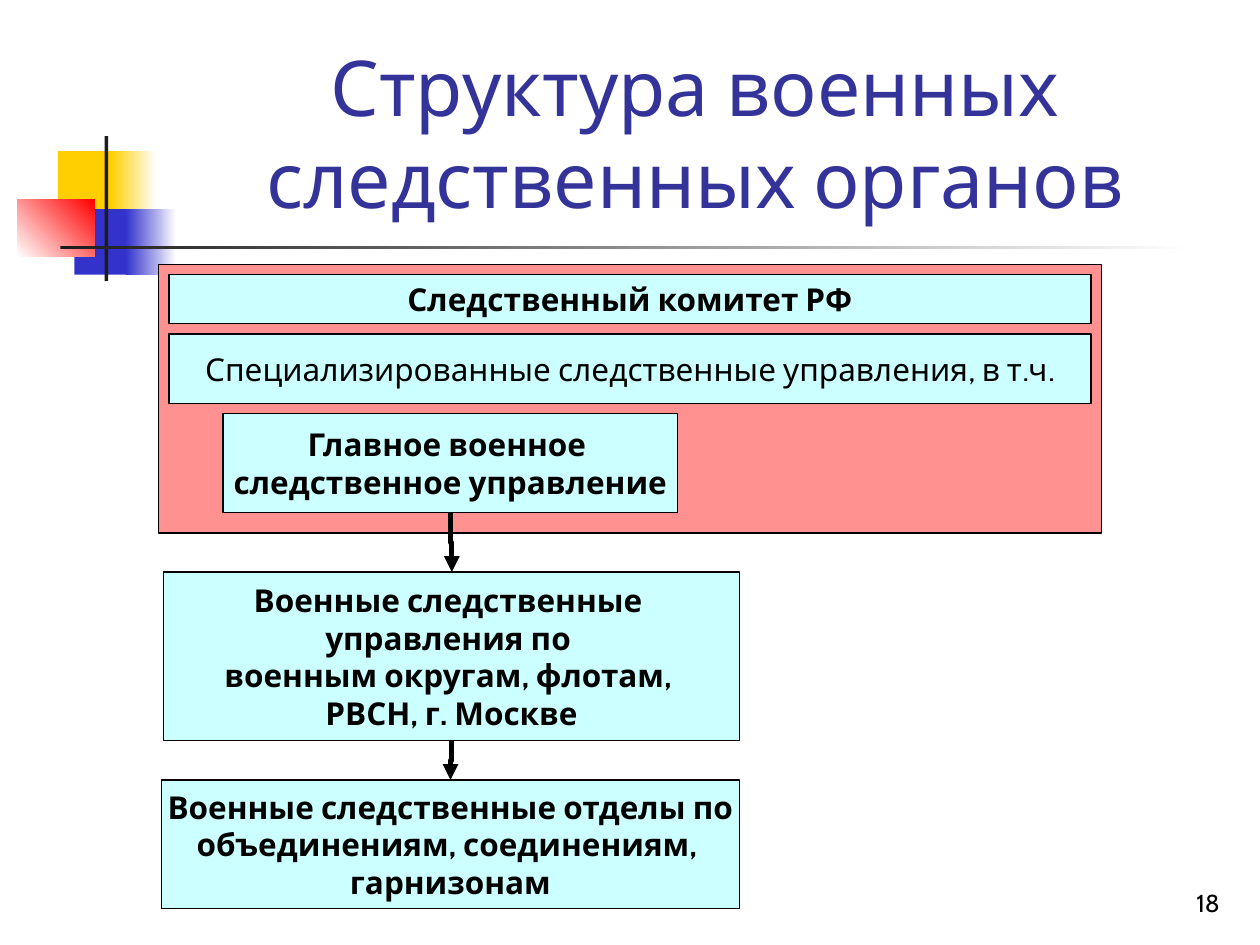
import pptx
import pptx.util
import pptx.dml.color
import pptx.enum.shapes
import pptx.enum.text
import pptx.oxml

PT = pptx.util.Pt
KIND = pptx.enum.shapes.MSO_SHAPE
ANCHOR = pptx.enum.text.MSO_ANCHOR
ALIGN = pptx.enum.text.PP_ALIGN
NS = 'xmlns:a="http://schemas.openxmlformats.org/drawingml/2006/main"'
FONT = "Cabin"
INK = "000000"
ICE = "CCFFFF"

deck = pptx.Presentation()
deck.slide_width = pptx.util.Inches(10)
deck.slide_height = pptx.util.Inches(7.5)
CELL = deck.slide_width / 100


def grid(*cells):
    return [round(c * CELL) for c in cells]


def color(code):
    return pptx.dml.color.RGBColor.from_string(code)


def style(frame, size, code, align, bold=False):
    for para in frame.paragraphs:
        para.alignment = align
        for run in para.runs:
            run.font.name = FONT
            run.font.size = PT(size)
            run.font.bold = bold
            run.font.color.rgb = color(code)


def block(shapes, x, y, w, h, fill):
    shape = shapes.add_shape(KIND.RECTANGLE, *grid(x, y, w, h))
    shape.shadow.inherit = False
    shape.fill.solid()
    shape.fill.fore_color.rgb = color(fill)
    shape.line.fill.background()
    return shape


def fade(shapes, x, y, w, h, start, end, angle=0):
    fill = block(shapes, x, y, w, h, start).fill
    fill.gradient()
    fill.gradient_angle = angle
    for stop, code in zip(fill.gradient_stops, (start, end)):
        stop.color.rgb = color(code)


def card(shapes, x, y, w, h, fill, text="", bold=True):
    shape = block(shapes, x, y, w, h, fill)
    shape.line.color.rgb = color(INK)
    shape.line.width = PT(0.75)
    if text:
        frame = shape.text_frame
        frame.text = text
        frame.word_wrap = False
        frame.vertical_anchor = ANCHOR.MIDDLE
        style(frame, 18, INK, ALIGN.CENTER, bold)
    return shape


def emblem(shapes, x, y):
    block(shapes, x + 3.2, y + 1.2, 4.8, 5.2, "FFCF01")
    fade(shapes, x + 7.4, y + 1.2, 3.6, 5.2, "FFCF01", "FFFFFF")
    block(shapes, x + 4.5, y + 5.8, 4.6, 5.2, "3333CC")
    fade(shapes, x + 8.6, y + 5.8, 4, 5.2, "3333CC", "FFFFFF")
    fade(shapes, x, y + 5, 6.1, 4.6, "FFFFFF", "FF0000", 45)
    block(shapes, x + 6.9, y, 0.3, 11.5, "1C1C1C")
    fade(shapes, x + 3.4, y + 8.7, 90, 0.3, "1C1C1C", "FFFFFF")


def title(shape, x, y, w, h):
    shape.left, shape.top, shape.width, shape.height = grid(x, y, w, h)
    frame = shape.text_frame
    frame.text = "Структура военных следственных органов"
    frame.word_wrap = True
    frame.auto_size = pptx.enum.text.MSO_AUTO_SIZE.NONE
    frame.vertical_anchor = ANCHOR.BOTTOM
    style(frame, 44, "333399", ALIGN.CENTER)


def number(shapes, x, y, w, h):
    frame = shapes.add_textbox(*grid(x, y, w, h)).text_frame
    frame.text = "18"
    frame.word_wrap = True
    frame.vertical_anchor = ANCHOR.BOTTOM
    style(frame, 14, INK, ALIGN.RIGHT)


def center(shapes, x, y, w, h):
    group = shapes.add_group_shape().shapes
    card(group, x, y, w, h, "FF9191")
    pad = 0.8
    wide = w - 2 * pad
    card(group, x + pad, y + pad, wide, 3.9, ICE, "Следственный комитет РФ")
    card(group, x + pad, y + 5.5, wide, 5.5, ICE,
         "Специализированные следственные управления, в т.ч.", False)
    return card(group, x + 5.1, y + 11.8, 36.1, 7.9, ICE,
                "Главное военное \nследственное управление")


def arrow(shapes, upper, lower):
    x1 = upper.left + upper.width // 2
    x2 = lower.left + lower.width // 2
    y1, y2 = upper.top + upper.height, lower.top
    line = shapes.add_connector(
        pptx.enum.shapes.MSO_CONNECTOR.ELBOW, x1, y1, x2, y2)
    line.begin_connect(upper, 2)
    line.end_connect(lower, 0)
    span, jog = y2 - y1, abs(x2 - x1)
    line.width, line.height = span, jog
    line.left = (x1 + x2 - span) // 2
    line.top = (y1 + y2 - jog) // 2
    prop = line._element.spPr
    frame = prop.xfrm
    frame.set("rot", "16200000" if x2 > x1 else "5400000")
    frame.set("flipH", "1" if x2 > x1 else "0")
    frame.set("flipV", "0")
    line.line.color.rgb = color(INK)
    line.line.width = PT(3)
    stroke = line.line._get_or_add_ln()
    stroke.append(pptx.oxml.parse_xml(f'<a:tailEnd {NS} type="triangle"/>'))
    prop.append(pptx.oxml.parse_xml(f"<a:effectLst {NS}/>"))


def chain(shapes, head, x, y, w):
    area = card(shapes, x + 0.2, y, w - 0.2, 13.4, ICE,
                "Военные следственные \nуправления по \n"
                "военным округам, флотам, \nРВСН, г. Москве")
    unit = card(shapes, x, y + 16.5, w, 10.2, ICE,
                "Военные следственные отделы по\n"
                "объединениям, соединениям, \nгарнизонам")
    arrow(shapes, head, area)
    arrow(shapes, area, unit)


def main():
    slide = deck.slides.add_slide(deck.slide_layouts[5])
    shapes = slide.shapes
    emblem(shapes, 1.4, 10.8)
    number(shapes, 77, 68.3, 20.8, 5)
    title(shapes.title, 12.6, 2.3, 85.2, 16)
    head = center(shapes, 12.6, 21, 74.8, 21.3)
    chain(shapes, head, 12.8, 45.4, 45.9)
    deck.save("out.pptx")


if __name__ == "__main__":
    main()
